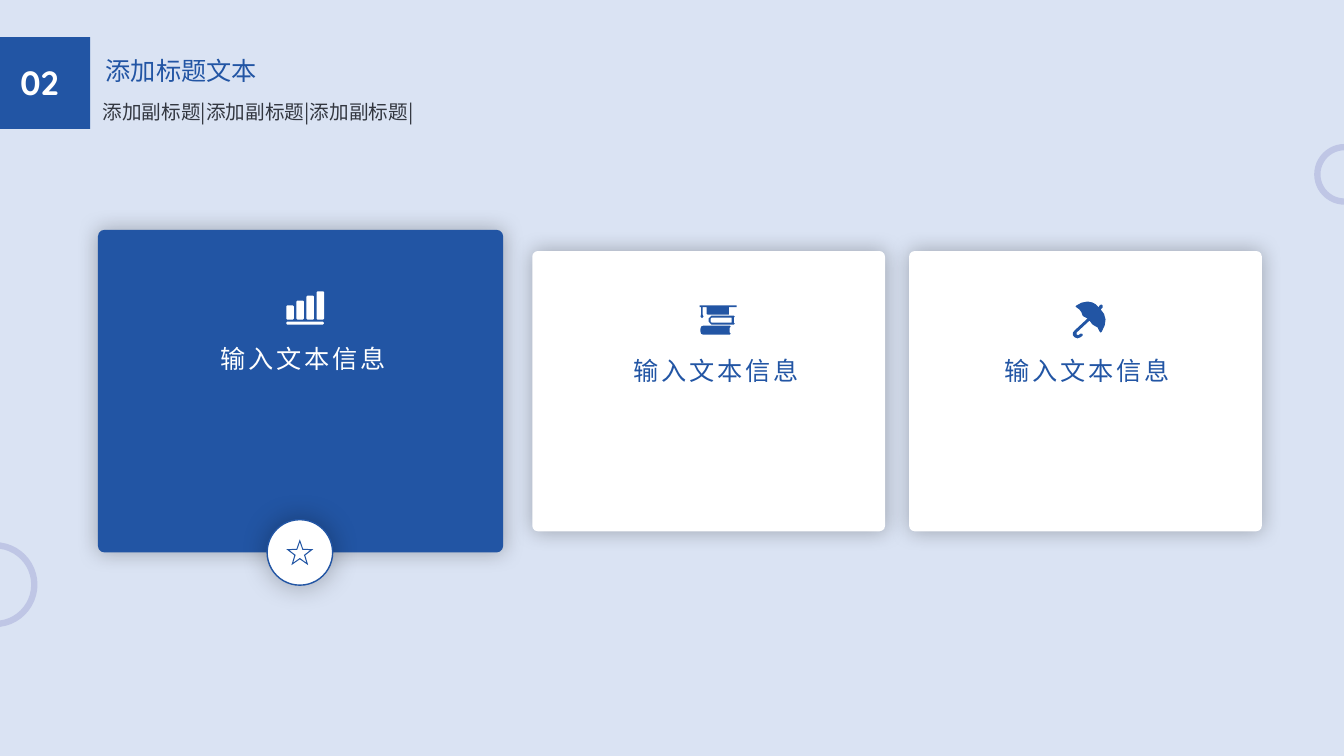
from math import cos, pi, sin

from lxml.etree import SubElement
from pptx import Presentation
from pptx.dml.color import RGBColor
from pptx.enum.shapes import MSO_SHAPE
from pptx.enum.text import MSO_AUTO_SIZE, PP_ALIGN
from pptx.oxml.ns import qn
from pptx.util import Pt

BLUE = RGBColor(0x22, 0x55, 0xA4)
WHITE = RGBColor(0xFF, 0xFF, 0xFF)
PALE = RGBColor(0xDA, 0xE3, 0xF3)
LILAC = RGBColor(0xBF, 0xC6, 0xE5)
INK = RGBColor(0x33, 0x37, 0x40)
HAN = "Noto Sans CJK SC"

deck = Presentation()
deck.slide_width, deck.slide_height = Pt(960), Pt(540)
slide = deck.slides.add_slide(deck.slide_layouts[6])
slide.background.fill.solid()
slide.background.fill.fore_color.rgb = PALE


def block(kind, box, fill=None, line=None, width=1, glow=None):
    """Add a preset shape; glow is the blur in points and the opacity in percent."""
    shape = slide.shapes.add_shape(kind, *map(Pt, box))
    shape.shadow.inherit = False
    if fill is None:
        shape.fill.background()
    else:
        shape.fill.solid()
        shape.fill.fore_color.rgb = fill
    if line is None:
        shape.line.fill.background()
    else:
        shape.line.color.rgb = line
        shape.line.width = Pt(width)
    if glow:
        blur, alpha = glow
        effects = shape.element.spPr.find(qn("a:effectLst"))
        shade = SubElement(effects, qn("a:outerShdw"), blurRad=str(Pt(blur)),
                           dist="0", dir="0", algn="ctr", rotWithShape="0")
        color = SubElement(shade, qn("a:srgbClr"), val="000000")
        SubElement(color, qn("a:alpha"), val=str(alpha * 1000))
    return shape


def write(text, box, size, color, font=HAN, align=None):
    frame = slide.shapes.add_textbox(*map(Pt, box)).text_frame
    frame.word_wrap = True
    frame.auto_size = MSO_AUTO_SIZE.SHAPE_TO_FIT_TEXT
    frame.text = text
    line = frame.paragraphs[0]
    line.alignment = align
    run = line.runs[0]
    run.font.size = Pt(size)
    run.font.color.rgb = color
    run.font.name = font
    SubElement(run.font._element, qn("a:ea"), typeface=font)
    return line


# Cards with their headings
cards = [
    ((70, 164.2, 289.4, 230.4), BLUE, (103.7, 237.6), WHITE),
    ((380.2, 179.3, 252, 200.2), WHITE, (398.2, 246.2), BLUE),
    ((649.4, 179.3, 252, 200.2), WHITE, (663.8, 246.2), BLUE),
]
for box, fill, (left, top), color in cards:
    card = block(MSO_SHAPE.ROUNDED_RECTANGLE, box, fill, glow=(15, 27))
    card.adjustments[0] = 0.02
    head = write("输入文本信息", (left, top, 226, 33.1), 18, color, align=PP_ALIGN.CENTER)
    head.line_spacing = 1.2
    head.runs[0].font._element.set("spc", "200")

# Rings at the slide edges and the round badge
block(MSO_SHAPE.OVAL, (941, 105.1, 38.9, 38.9), line=LILAC, width=4.5)
block(MSO_SHAPE.OVAL, (-31.7, 389.5, 56.2, 56.2), line=LILAC, width=4.5)
block(MSO_SHAPE.OVAL, (190.8, 371.2, 46.8, 46.8), WHITE, BLUE, glow=(20, 30))

# Icon outlines, in tenths of a point
star = []
for radius in (102, 80):
    ring = []
    for tip in range(10):
        reach = radius * (0.4 if tip % 2 else 1)
        turn = tip * pi / 5
        ring.append((97 + reach * sin(turn), 102 - reach * cos(turn)))
    star.append(ring)

bars = []
rects = [(72 * i, top, 72 * i + 54, 202) for i, top in enumerate((101, 67, 32, 0))]
for x, y, right, low in rects + [(0, 217, 268, 238)]:
    bars.append([(x + 7, y), (right - 7, y), (right, y + 7), (right, low - 7),
                 (right - 7, low), (x + 7, low), (x, low - 7), (x, y + 7)])

books = [
    [(0, 0), (266, 0), (266, 11), (209, 11), (209, 65), (58, 65), (50, 58), (50, 11),
     (22, 11), (22, 65), (29, 80), (18, 90), (7, 80), (11, 65), (11, 11), (0, 11)],
    [(252, 79), (245, 86), (245, 122), (252, 130), (245, 137), (86, 137), (65, 115),
     (65, 94), (86, 72), (245, 72)],
    [(86, 122), (230, 122), (230, 86), (86, 86), (79, 94), (79, 115)],
    [(223, 151), (216, 158), (216, 194), (223, 202), (216, 209), (29, 209), (12, 203),
     (7, 187), (7, 166), (12, 150), (29, 144), (216, 144)],
]

shade = [[
    (202, 58), (216, 43), (216, 29), (205, 22), (194, 29), (187, 43), (165, 20),
    (140, 7), (108, 1), (65, 9), (29, 29), (22, 36), (29, 43), (50, 58), (65, 79),
    (72, 101), (79, 108), (108, 122), (14, 209), (2, 225), (2, 240), (14, 256),
    (36, 264), (58, 256), (72, 245), (72, 232), (58, 230), (43, 241), (29, 238),
    (29, 223), (122, 137), (137, 158), (144, 166), (180, 187), (194, 216),
    (202, 223), (209, 216), (230, 173), (236, 130), (226, 90),
]]

icons = [
    (204.5, 385.2, BLUE, star),
    (204.5, 208.1, WHITE, bars),
    (499.7, 218.2, BLUE, books),
    (766.1, 215.3, BLUE, shade),
]
for left, top, color, rings in icons:
    pen = slide.shapes.build_freeform(*rings[0][0], scale=Pt(0.1))
    pen.add_line_segments(rings[0][1:])
    for ring in rings[1:]:
        pen.move_to(*ring[0])
        pen.add_line_segments(ring[1:])
    icon = pen.convert_to_shape(Pt(left), Pt(top))
    icon.shadow.inherit = False
    icon.fill.solid()
    icon.fill.fore_color.rgb = color
    icon.line.fill.background()

# Page header
block(MSO_SHAPE.RECTANGLE, (0, 26.6, 64.5, 65.5), BLUE)
number = write("02", (7.2, 41, 49.7, 36), 24, WHITE, "Quicksand")
number.runs[0].font.bold = True
write("添加标题文本", (68.4, 36, 184.3, 28.8), 18, BLUE)
write("添加副标题|" * 3, (66.2, 67.7, 297.4, 24.5), 14, INK, align=PP_ALIGN.JUSTIFY)

deck.save("out.pptx")
